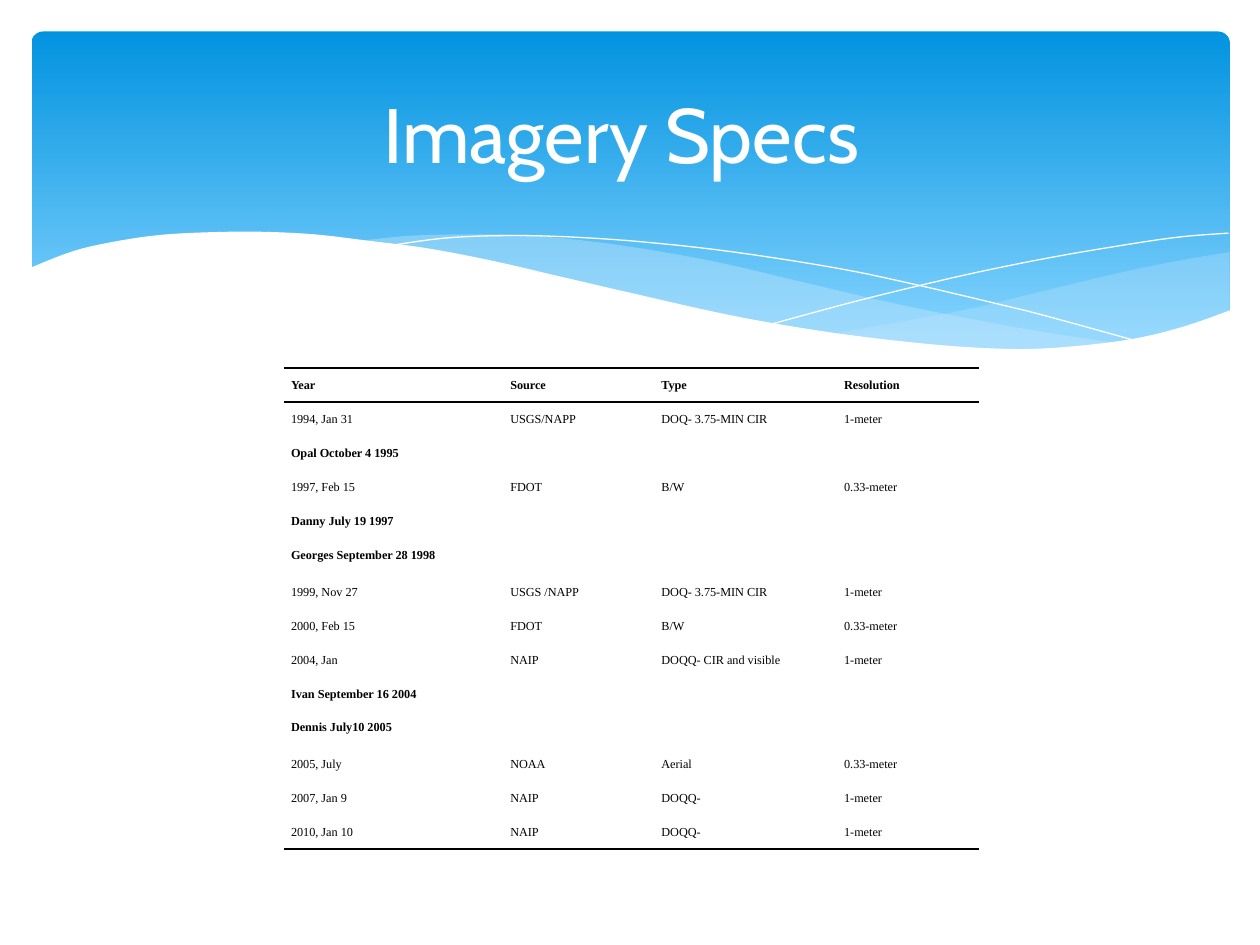
from dataclasses import dataclass
from typing import NamedTuple, Optional

from lxml import etree
from pptx import Presentation
from pptx import util as u
from pptx.dml.color import RGBColor
from pptx.enum import shapes, text
from pptx.oxml import ns


@dataclass(frozen=True)
class Theme:
    panel_top: str = "0293E0"
    panel_bottom: str = "83D3FE"
    veil: str = "C6E7FC"
    white: str = "FFFFFF"
    ink: str = "000000"
    title_font: str = "Cabin"
    table_font: str = "Times New Roman"
    title_size: float = 44
    table_size: float = 7
    rule_width: float = 1


THEME = Theme()
Point = tuple[float, float]
Curve = list[Point]


class Wave(NamedTuple):
    curves: list[Curve]  # smooth curves joined end to end
    fill: Optional[str] = None
    alpha: int = 100  # percent
    line: Optional[str] = None


class Survey(NamedTuple):
    year: str
    source: str
    kind: str
    resolution: str


class Storms(NamedTuple):
    names: list[str]


WAVES = [
    Wave([[(9.76, 2), (9.35, 2.07), (8.91, 2.16), (8.32, 2.3), (7.79, 2.43),
           (7.29, 2.53), (6.61, 2.65)],
          [(6.61, 2.65), (7.05, 2.71), (7.57, 2.76), (8.03, 2.78), (8.54, 2.76),
           (9.05, 2.69), (9.42, 2.59), (9.76, 2.47)]],
         fill=THEME.veil, alpha=29),
    Wave([[(8.93, 2.73), (8.37, 2.65), (7.75, 2.54), (7.06, 2.4), (6.29, 2.22),
           (5.69, 2.08), (5.14, 1.98), (4.64, 1.91), (4.2, 1.87), (3.8, 1.86),
           (3.28, 1.87), (2.86, 1.91)],
          [(2.86, 1.91), (3.42, 1.99), (4.04, 2.11), (4.49, 2.22), (5.3, 2.4),
           (6.01, 2.55), (6.65, 2.66), (7.22, 2.74), (7.73, 2.78), (8.18, 2.79),
           (8.57, 2.77), (8.93, 2.73)]],
         fill=THEME.veil, alpha=40),
    Wave([[(3.09, 1.95), (3.53, 1.89), (4.01, 1.87), (4.5, 1.88), (5.1, 1.92),
           (5.82, 2), (6.65, 2.13), (7.27, 2.26), (7.95, 2.42), (8.31, 2.51),
           (9.07, 2.72)]],
         line=THEME.white),
    Wave([[(6.13, 2.57), (6.72, 2.41), (7.2, 2.29), (7.76, 2.16), (8.36, 2.04),
           (8.95, 1.94), (9.37, 1.88), (9.75, 1.85)]],
         line=THEME.white),
    Wave([[(9.77, 2.46), (9.4, 2.59), (8.99, 2.69), (8.5, 2.75), (8.09, 2.77),
           (7.61, 2.75), (7.08, 2.7), (6.47, 2.62), (5.79, 2.5), (5.03, 2.33),
           (4.47, 2.2), (3.91, 2.07), (3.39, 1.97), (2.92, 1.91), (2.5, 1.86),
           (2.11, 1.84), (1.77, 1.84), (1.32, 1.86), (0.95, 1.91), (0.59, 1.99),
           (0.23, 2.13)],
          [(0.23, 2.13), (0.23, 3.29)], [(0.23, 3.29), (9.77, 3.29)]],
         fill=THEME.white),
]

HEADINGS = Survey("Year", "Source", "Type", "Resolution")
RECORDS = [
    Survey("1994, Jan 31", "USGS/NAPP", "DOQ- 3.75-MIN CIR", "1-meter"),
    Storms(["Opal October 4 1995"]),
    Survey("1997, Feb 15", "FDOT", "B/W", "0.33-meter"),
    Storms(["Danny July 19 1997", "Georges September 28 1998"]),
    Survey("1999, Nov 27", "USGS /NAPP", "DOQ- 3.75-MIN CIR", "1-meter"),
    Survey("2000, Feb 15", "FDOT", "B/W", "0.33-meter"),
    Survey("2004, Jan", "NAIP", "DOQQ- CIR and visible", "1-meter"),
    Storms(["Ivan September 16 2004", "Dennis July10 2005"]),
    Survey("2005, July", "NOAA", "Aerial", "0.33-meter"),
    Survey("2007, Jan 9", "NAIP", "DOQQ-", "1-meter"),
    Survey("2010, Jan 10", "NAIP", "DOQQ-", "1-meter"),
]
COLUMN_WIDTHS = [1.74, 1.2, 1.45, 1.13]
ROW_HEIGHT, STORM_PAIR_HEIGHT = 0.27, 0.56


def rgb(value: str) -> RGBColor:
    return RGBColor.from_string(value)


def smooth(anchors: Curve, steps: int = 5) -> Curve:
    """Catmull-Rom curve through the anchors."""
    padded = [anchors[0], *anchors, anchors[-1]]
    points = [anchors[0]]
    for a, b, c, d in zip(padded, padded[1:], padded[2:], padded[3:]):
        for step in range(1, steps + 1):
            t = step / steps
            x, y = (0.5 * (2 * q + (r - p) * t + (2 * p - 5 * q + 4 * r - s) * t**2
                           + (3 * q - p - 3 * r + s) * t**3)
                    for p, q, r, s in zip(a, b, c, d))
            points.append((x, y))
    return points


def draw_panel(slide) -> None:
    panel = slide.shapes.add_shape(
        shapes.MSO_SHAPE.ROUNDED_RECTANGLE,
        u.Inches(0.25), u.Inches(0.25), u.Inches(9.51), u.Inches(2.7))
    panel.adjustments[0] = 0.034
    panel.shadow.inherit = False
    panel.line.fill.background()
    panel.fill.gradient()
    panel.fill.gradient_angle = 270
    first, last = panel.fill.gradient_stops
    first.color.rgb, first.position = rgb(THEME.panel_top), 0
    last.color.rgb, last.position = rgb(THEME.panel_bottom), 0.9


def draw_wave(slide, wave: Wave) -> None:
    points = [(u.Inches(x), u.Inches(y)) for curve in wave.curves for x, y in smooth(curve)]
    builder = slide.shapes.build_freeform(*points[0])
    builder.add_line_segments(points[1:], close=wave.fill is not None)
    ribbon = builder.convert_to_shape()
    ribbon.shadow.inherit = False
    if wave.fill:
        ribbon.fill.solid()
        ribbon.fill.fore_color.rgb = rgb(wave.fill)
        color = ribbon.fill._xPr.find(".//" + ns.qn("a:srgbClr"))
        if wave.alpha < 100:
            etree.SubElement(color, ns.qn("a:alpha"), val=str(wave.alpha * 1000))
    else:
        ribbon.fill.background()
    if wave.line:
        ribbon.line.color.rgb = rgb(wave.line)
        ribbon.line.width = u.Pt(0)
    else:
        ribbon.line.fill.background()


def add_run(paragraph, words: str, font: str, size: float, color: str, bold: bool = False) -> None:
    run = paragraph.add_run()
    run.text = words
    run.font.name, run.font.size, run.font.bold = font, u.Pt(size), bold
    run.font.color.rgb = rgb(color)


def set_borders(cell, ruled: str) -> None:
    """Rule the named sides (T, B) and clear the others."""
    properties = cell._tc.get_or_add_tcPr()
    for order, side in enumerate("LRTB"):
        border = etree.Element(ns.qn(f"a:ln{side}"), w=str(u.Pt(THEME.rule_width)))
        if side in ruled:
            paint = etree.SubElement(border, ns.qn("a:solidFill"))
            etree.SubElement(paint, ns.qn("a:srgbClr"), val=THEME.ink)
        else:
            etree.SubElement(border, ns.qn("a:noFill"))
        properties.insert(order, border)


def fill_cell(cell, lines: list[str], bold: bool) -> None:
    cell.margin_left = cell.margin_right = cell.margin_top = cell.margin_bottom = u.Inches(0.06)
    for order, words in enumerate(lines):
        paragraph = cell.text_frame.paragraphs[0] if order == 0 else cell.text_frame.add_paragraph()
        paragraph.line_spacing = 1.25
        if order:
            paragraph.space_before = u.Pt(9.5)
        add_run(paragraph, words, THEME.table_font, THEME.table_size, THEME.ink, bold)


def draw_table(slide) -> None:
    entries = [HEADINGS, *RECORDS]
    heights = [STORM_PAIR_HEIGHT if isinstance(e, Storms) and len(e.names) > 1 else ROW_HEIGHT
               for e in entries]
    specs = slide.shapes.add_table(
        len(entries), len(COLUMN_WIDTHS), u.Inches(2.25), u.Inches(2.92),
        u.Inches(sum(COLUMN_WIDTHS)), u.Inches(sum(heights))).table
    specs.first_row = specs.horz_banding = False
    for column, width in zip(specs.columns, COLUMN_WIDTHS):
        column.width = u.Inches(width)
    for index, (entry, height) in enumerate(zip(entries, heights)):
        specs.rows[index].height = u.Inches(height)
        cells = list(specs.rows[index].cells)
        ruled = {0: "TB", 1: "T", len(entries) - 1: "B"}.get(index, "")
        for cell in cells:
            cell.fill.background()
            set_borders(cell, ruled)
        if isinstance(entry, Storms):
            cells[0].merge(cells[-1])
            fill_cell(cells[0], entry.names, bold=True)
        else:
            for cell, words in zip(cells, entry):
                fill_cell(cell, [words], bold=index == 0)


def draw_title(slide) -> None:
    heading = slide.shapes.add_textbox(
        u.Inches(0.5), u.Inches(0.37), u.Inches(9), u.Inches(1.37)).text_frame
    heading.word_wrap = True
    heading.vertical_anchor = text.MSO_ANCHOR.MIDDLE
    heading.paragraphs[0].alignment = text.PP_ALIGN.CENTER
    add_run(heading.paragraphs[0], "Imagery Specs ", THEME.title_font, THEME.title_size, THEME.white)


def main() -> None:
    deck = Presentation()
    deck.slide_width, deck.slide_height = u.Inches(10), u.Inches(7.5)
    slide = deck.slides.add_slide(deck.slide_layouts[6])
    # Banner
    draw_panel(slide)
    for wave in WAVES:
        draw_wave(slide, wave)
    # Content
    draw_table(slide)
    draw_title(slide)
    deck.save("out.pptx")


if __name__ == "__main__":
    main()
